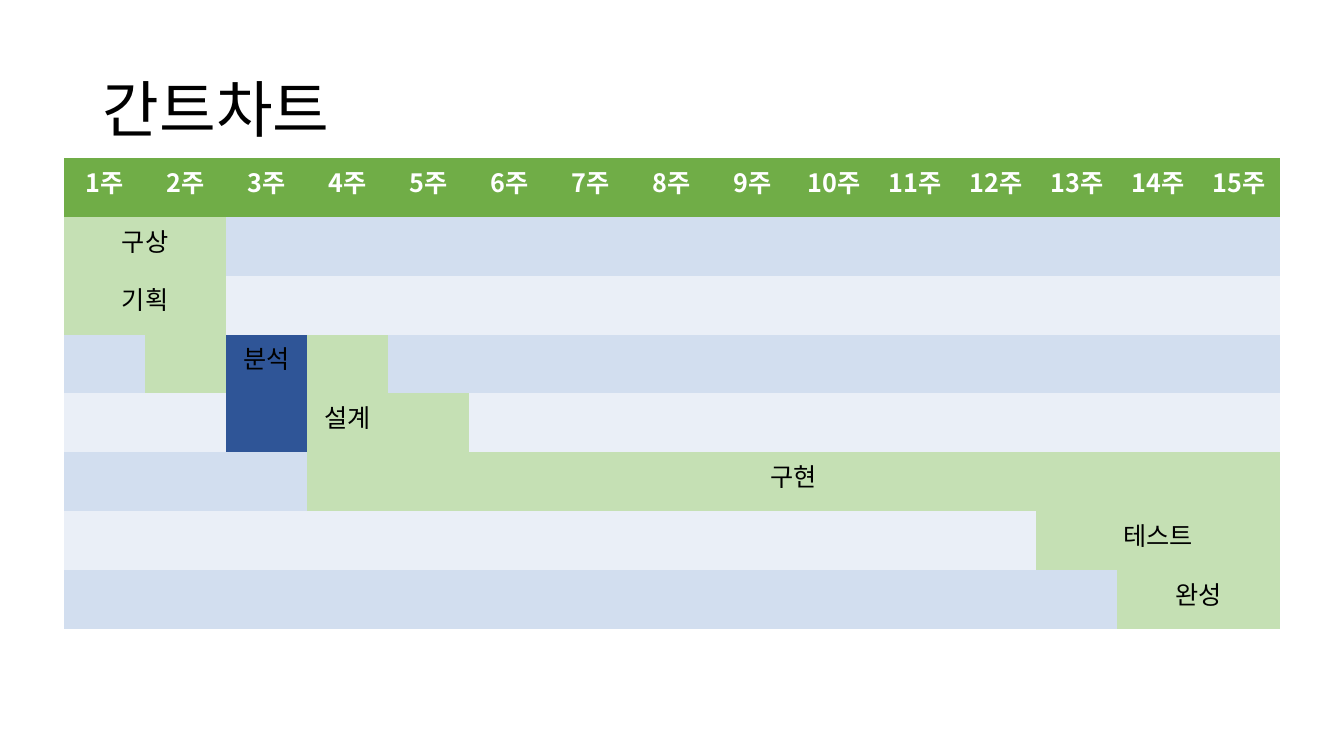
import dataclasses

import pptx
import pptx.dml.color
import pptx.enum.text
import pptx.oxml.ns
import pptx.util
from lxml import etree

EMU = 914400 / 100.8
FONT = "Noto Sans CJK KR"
PLAIN = "{2D5ABB26-0587-4C30-8999-92F81FD0307C}"  # table style without grid
WEEKS, ROWS = 15, 8
HEX = {
    "head": "70AD47",
    "odd": "D2DEEF",
    "even": "EAEFF7",
    "task": "C5E0B4",
    "focus": "2F5597",
    "black": "000000",
    "white": "FFFFFF",
}


@dataclasses.dataclass
class Bar:
    row: int
    week: int
    span: int = 1
    text: str = ""
    tone: str = "task"


BARS = [
    Bar(1, 1, 2, "구상"),
    Bar(2, 1, 2, "기획"),
    Bar(3, 2),
    Bar(3, 3, 1, "분석", "focus"),
    Bar(3, 4),
    Bar(4, 3, tone="focus"),
    Bar(4, 4, 1, "설계"),
    Bar(4, 5),
    Bar(5, 4, 12, "구현"),
    Bar(6, 13, 3, "테스트"),
    Bar(7, 14, 2, "완성"),
]


def px(size: int) -> int:
    return round(size * EMU)


def tint(name: str) -> pptx.dml.color.RGBColor:
    return pptx.dml.color.RGBColor.from_string(HEX[name])


def write(frame, text: str, size: int, tone: str, bold: bool = False):
    """Put one styled run in the frame and return its paragraph."""
    para = frame.paragraphs[0]
    run = para.add_run()
    run.text = text
    form = {"name": FONT, "size": pptx.util.Pt(size), "bold": bold}
    for key, value in form.items():
        setattr(run.font, key, value)
    run.font.color.rgb = tint(tone)
    # Hangul takes the East Asian font
    east = etree.SubElement(run._r.get_or_add_rPr(), pptx.oxml.ns.qn("a:ea"))
    east.set("typeface", FONT)
    return para


def paint(cell, tone: str) -> None:
    cell.fill.solid()
    cell.fill.fore_color.rgb = tint(tone)


def label(cell, text: str, tone: str, bold: bool = False) -> None:
    para = write(cell.text_frame, text, 18, tone, bold)
    para.alignment = pptx.enum.text.PP_ALIGN.CENTER


def title(slide) -> None:
    box = slide.shapes.add_textbox(px(93), px(40), px(1159), px(146))
    frame = box.text_frame
    form = {
        "word_wrap": True,
        "vertical_anchor": pptx.enum.text.MSO_ANCHOR.MIDDLE,
    }
    for key, value in form.items():
        setattr(frame, key, value)
    write(frame, "간트차트", 44, "black").line_spacing = 0.9


def gantt(slide) -> None:
    frame = slide.shapes.add_table(
        ROWS, WEEKS, px(64), px(158), px(1216), px(471)
    )
    grid = frame.table
    grid._tbl.tblPr.find(pptx.oxml.ns.qn("a:tableStyleId")).text = PLAIN

    # Week heads and banded rows
    for row in range(ROWS):
        band = "head" if row == 0 else "odd" if row % 2 else "even"
        for col in range(WEEKS):
            paint(grid.cell(row, col), band)
    for col in range(WEEKS):
        label(grid.cell(0, col), f"{col + 1}주", "white", True)

    # Task bars
    for bar in BARS:
        cell = grid.cell(bar.row, bar.week - 1)
        if bar.span > 1:
            cell.merge(grid.cell(bar.row, bar.week + bar.span - 2))
        paint(cell, bar.tone)
        if bar.text:
            label(cell, bar.text, "black")


def main() -> None:
    deck = pptx.Presentation()
    deck.slide_width, deck.slide_height = px(1344), px(756)
    slide = deck.slides.add_slide(deck.slide_layouts[6])
    title(slide)
    gantt(slide)
    deck.save("out.pptx")


if __name__ == "__main__":
    main()
